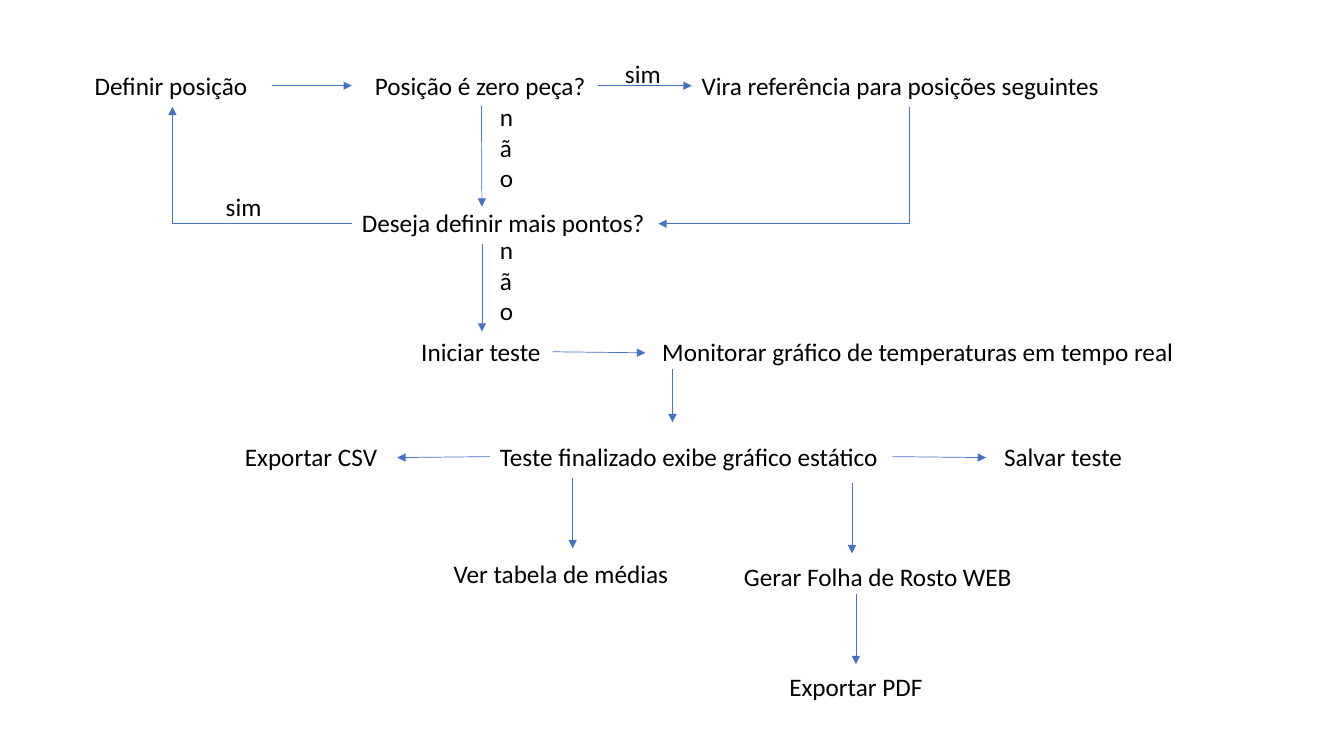
from lxml.etree import SubElement
from pptx import Presentation
from pptx.dml.color import RGBColor
from pptx.enum.shapes import MSO_CONNECTOR
from pptx.enum.text import MSO_AUTO_SIZE
from pptx.oxml.ns import qn
from pptx.util import Pt

EMU_PER_PX = 9144  # 100 px to the inch
TOP, LEFT, BOTTOM, RIGHT = range(4)


def px(length):
    return length * EMU_PER_PX


def colour(hex_string):
    return RGBColor.from_string(hex_string)


class Flowchart:
    """Holds the style and the current slide."""
    font, size = "Calibri", Pt(18)
    ink, arrow_colour, arrow_width = "000000", "4472C4", Pt(0.5)

    def __init__(self, page):
        self.page = page

    def text(self, words, left, top, width, height=40, wrap=False):
        box = self.page.shapes.add_textbox(px(left), px(top), px(width), px(height))
        frame = box.text_frame
        frame.word_wrap = wrap
        frame.auto_size = MSO_AUTO_SIZE.SHAPE_TO_FIT_TEXT
        para = frame.paragraphs[0]
        para.text = words
        para.font.name, para.font.size = self.font, self.size
        para.font.color.rgb = colour(self.ink)
        return box

    def arrow(self, start, end, source=None, target=None, kind=MSO_CONNECTOR.STRAIGHT):
        """Draw from start to end; source and target are (box, side) joints."""
        link = self.page.shapes.add_connector(kind, *map(px, start + end))
        if source:
            link.begin_connect(*source)
        if target:
            link.end_connect(*target)
        link.line.color.rgb = colour(self.arrow_colour)
        link.line.width = self.arrow_width
        SubElement(link.line._get_or_add_ln(), qn("a:tailEnd"), type="triangle")
        SubElement(link._element.spPr, qn("a:effectLst"))
        return link

    def corner(self, start, end, source, target, turn):
        """Draw an arrow with one right-angled bend, turned clockwise in degrees."""
        link = self.arrow(start, end, source, target, MSO_CONNECTOR.ELBOW)
        across, down = abs(end[0] - start[0]), abs(end[1] - start[1])
        width, height = (down, across) if turn % 180 else (across, down)
        link.left = px(start[0] + end[0] - width) // 2
        link.top = px(start[1] + end[1] - height) // 2
        link.width, link.height = px(width), px(height)
        properties = link._element.spPr
        properties.find(qn("a:prstGeom")).set("prst", "bentConnector2")
        frame = properties.find(qn("a:xfrm"))
        for flip in ("flipH", "flipV"):
            frame.attrib.pop(flip, None)
        frame.set("rot", str(turn * 60000))


def main():
    deck = Presentation()
    deck.slide_width, deck.slide_height = px(1333), px(750)
    chart = Flowchart(deck.slides.add_slide(deck.slide_layouts[6]))

    # Steps
    define = chart.text("Definir posição", 84, 65, 174)
    is_zero = chart.text("Posição é zero peça?", 362, 65, 231)
    reference = chart.text("Vira referência para posições seguintes", 686, 65, 431, wrap=True)
    more_points = chart.text("Deseja definir mais pontos?", 349, 201, 304)
    start_test = chart.text("Iniciar teste", 408, 329, 140)
    chart.text("Monitorar gráfico de temperaturas em tempo real", 647, 329, 533)
    finished = chart.text("Teste finalizado exibe gráfico estático", 486, 433, 399)
    chart.text("Exportar CSV", 233, 433, 153)
    chart.text("Salvar teste", 986, 433, 138)
    chart.text("Ver tabela de médias", 440, 549, 236)
    chart.text("Gerar Folha de Rosto WEB", 728, 552, 289)
    chart.text("Exportar PDF", 773, 661, 154)

    # Answers beside the arrows
    for left, top in ((610, 53), (214, 185)):
        chart.text("sim", left, top, 56)
    for top in (96, 228):
        chart.text("não", 486, top, 36, 101, wrap=True)

    # Defining positions
    chart.arrow((270, 85), (349, 85))
    chart.arrow((594, 85), (686, 85), (is_zero, RIGHT), (reference, LEFT))
    chart.arrow((478, 106), (478, 205), (is_zero, BOTTOM))
    chart.corner((902, 106), (653, 222), (reference, BOTTOM), (more_points, RIGHT), 90)
    chart.corner((349, 222), (171, 106), (more_points, LEFT), (define, BOTTOM), 180)

    # Running the test
    chart.arrow((478, 242), (478, 329), target=(start_test, TOP))
    chart.arrow((548, 350), (640, 350), (start_test, RIGHT))
    chart.arrow((667, 366), (667, 419))

    # Using the results
    chart.arrow((486, 454), (394, 454), (finished, LEFT))
    chart.arrow((885, 454), (978, 454), (finished, RIGHT))
    for x, top in ((568, 474), (845, 479), (849, 589)):
        chart.arrow((x, top), (x, top + 70))

    deck.save("out.pptx")


if __name__ == "__main__":
    main()
